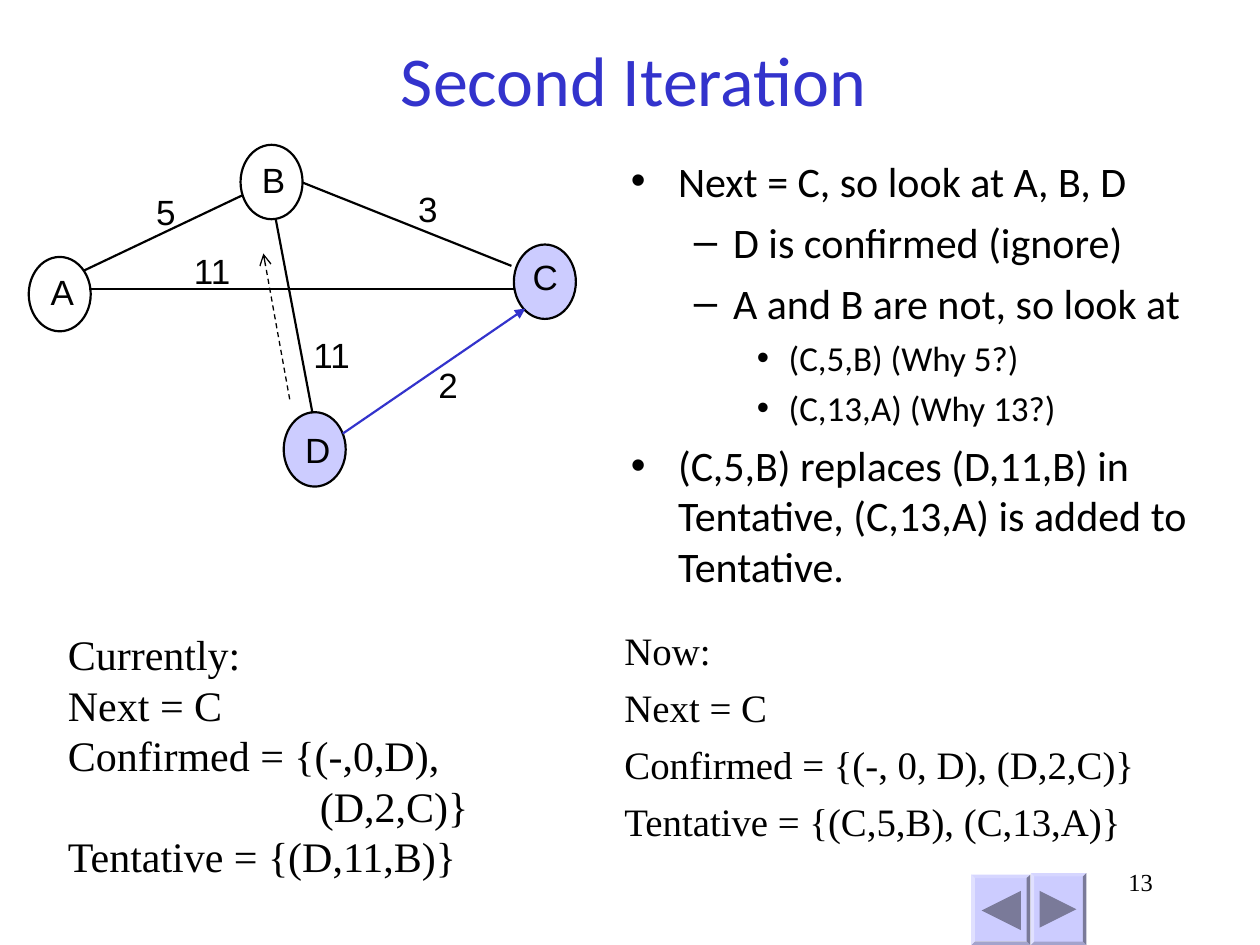
from pptx import Presentation
from pptx.dml.color import RGBColor
from pptx.enum.dml import MSO_LINE as Dash
from pptx.enum.shapes import MSO_CONNECTOR as Link, MSO_SHAPE as Shape
from pptx.enum.text import MSO_ANCHOR as Anchor, PP_ALIGN as Align
from pptx.oxml.ns import qn
from pptx.util import Cm, Pt
from lxml.etree import SubElement as Sub

BLACK, BLUE, LILAC, GREY = "000000", "3333CC", "CCCCFF", "7A7A99"
SERIF, SANS, PLAIN = "Times New Roman", "Calibri", "Arial"


def tint(code):
    return RGBColor.from_string(code)


class Board:
    """Hold the slide and the style of its graph and text."""

    def __init__(self, slide):
        self.slide = slide
        self.shapes = slide.shapes
        self.width = 1.25
        self.lead = 1.2

    def text(self, box, rows, font, ink=BLACK, align=Align.LEFT,
             anchor=Anchor.TOP, wrap=True, pad=(0.25, 0.13)):
        frame = self.shapes.add_textbox(*map(Cm, box)).text_frame
        frame.word_wrap = wrap
        frame.vertical_anchor = anchor
        frame.margin_left = frame.margin_right = Cm(pad[0])
        frame.margin_top = frame.margin_bottom = Cm(pad[1])
        frame.text = "\n".join(row[0] for row in rows)
        for para, (_, size, *rest) in zip(frame.paragraphs, rows):
            para.alignment = align
            para.line_spacing = Pt(round(size * self.lead, 1))
            face = para.runs[0].font
            face.name, face.size = font, Pt(size)
            face.color.rgb = tint(ink)
            if rest:
                self.indent(para, *rest)

    def indent(self, para, gap, left, hang=0, mark=None):
        para.space_before = Pt(gap)
        props = para._p.get_or_add_pPr()
        props.set("marL", str(Cm(left)))
        props.set("indent", str(Cm(-hang)))
        if mark:
            Sub(props, qn("a:buFont"), typeface=PLAIN)
            Sub(props, qn("a:buChar"), char=mark)

    def label(self, x, y, word):
        self.text((x, y, 0.1 + 0.4 * len(word), 0.84), [(word, 20)],
                  PLAIN, wrap=False, pad=(0, 0))

    def shape(self, kind, box, fill=None, line=None):
        item = self.shapes.add_shape(kind, *map(Cm, box))
        item.shadow.inherit = False
        if fill:
            item.fill.solid()
            item.fill.fore_color.rgb = tint(fill)
        else:
            item.fill.background()
        if line:
            item.line.color.rgb = tint(line)
            item.line.width = Pt(self.width)
        else:
            item.line.fill.background()
        return item

    def node(self, x, y, fill=None):
        self.shape(Shape.OVAL, (x, y, 1.25, 1.5), fill, BLACK)

    def edge(self, ends, ink=BLACK, width=None, dash=None, tip=None):
        item = self.shapes.add_connector(Link.STRAIGHT, *map(Cm, ends))
        item.line.color.rgb = tint(ink)
        item.line.width = Pt(width or self.width)
        if dash:
            item.line.dash_style = dash
        if tip:
            end, kind = tip
            Sub(item.line._get_or_add_ln(), qn("a:" + end), type=kind)
        Sub(item._element.spPr, qn("a:effectLst"))

    def button(self, box, x, size, turn):
        face = self.shape(Shape.BEVEL, box, LILAC)
        face.adjustments[0] = 0.06
        mark = self.shape(Shape.ISOSCELES_TRIANGLE, (x, 17.96, size, size), GREY)
        mark.rotation = turn


def main():
    deck = Presentation()
    deck.slide_width, deck.slide_height = Cm(25.4), Cm(19.05)
    board = Board(deck.slides.add_slide(deck.slide_layouts[6]))

    board.button((19.58, 17.63, 1.19, 1.42), 19.79, 0.79, 270)
    board.button((20.78, 17.6, 1.12, 1.45), 20.96, 0.74, 90)
    board.text((18.21, 17.35, 5.28, 1.27), [("13", 14)], SERIF, align=Align.RIGHT)
    board.text((1.98, 0, 21.59, 3.18), [("Second Iteration", 40)], SANS, BLUE,
               Align.CENTER, Anchor.MIDDLE)

    top = (24, 6, 0.95, 0.95, "•")
    sub = (24, 6, 2.06, 0.79, "–")
    low = (20, 5, 3.18, 0.64, "•")
    board.text((12.47, 3, 12.93, 13.97), [
        ("Next = C, so look at A, B, D", *top),
        ("D is confirmed (ignore)", *sub),
        ("A and B are not, so look at", *sub),
        ("(C,5,B) (Why 5?)", *low),
        ("(C,13,A) (Why 13?)", *low),
        ("(C,5,B) replaces (D,11,B) in Tentative, (C,13,A) is added to Tentative.",
         *top),
    ], SANS)

    for x, y, fill in [(10.36, 4.93, LILAC), (5.72, 8.31, LILAC),
                       (0.58, 5.18, None), (4.85, 2.92, None)]:
        board.node(x, y, fill)
    for ends in [(1.68, 5.46, 4.88, 3.94), (6.1, 3.68, 10.31, 5.36),
                 (1.8, 5.82, 10.36, 5.82), (5.56, 4.42, 6.3, 8.33)]:
        board.edge(ends)
    board.edge((10.59, 6.22, 6.91, 8.74), BLUE, tip=("headEnd", "triangle"))
    board.edge((5.84, 8.05, 5.31, 5.11), width=0.75, dash=Dash.DASH,
               tip=("tailEnd", "arrow"))
    for spot in [(6.15, 8.64, "D"), (1.02, 5.46, "A"), (5.28, 3.2, "B"),
                 (10.74, 5.16, "C"), (3.15, 3.84, "5"), (8.43, 3.78, "3"),
                 (8.84, 7.32, "2"), (6.32, 6.73, "11"), (3.91, 5.03, "11")]:
        board.label(*spot)

    board.text((1.12, 12.55, 8.59, 5.33), [
        ("Currently:", 24),
        ("Next = C", 24),
        ("Confirmed = {(-,0,D),", 24),
        ("(D,2,C)}", 24, 0, 5.08),
        ("Tentative = {(D,11,B)}", 24),
    ], SERIF, wrap=False)
    now = ["Now:", "Next = C", "Confirmed = {(-, 0, D), (D,2,C)}",
           "Tentative = {(C,5,B), (C,13,A)}"]
    board.text((12.34, 12.5, 11.68, 4.85),
               [(row, 22.2, 6, 0.95, 0.95) for row in now], SERIF)
    deck.save("out.pptx")


if __name__ == "__main__":
    main()
